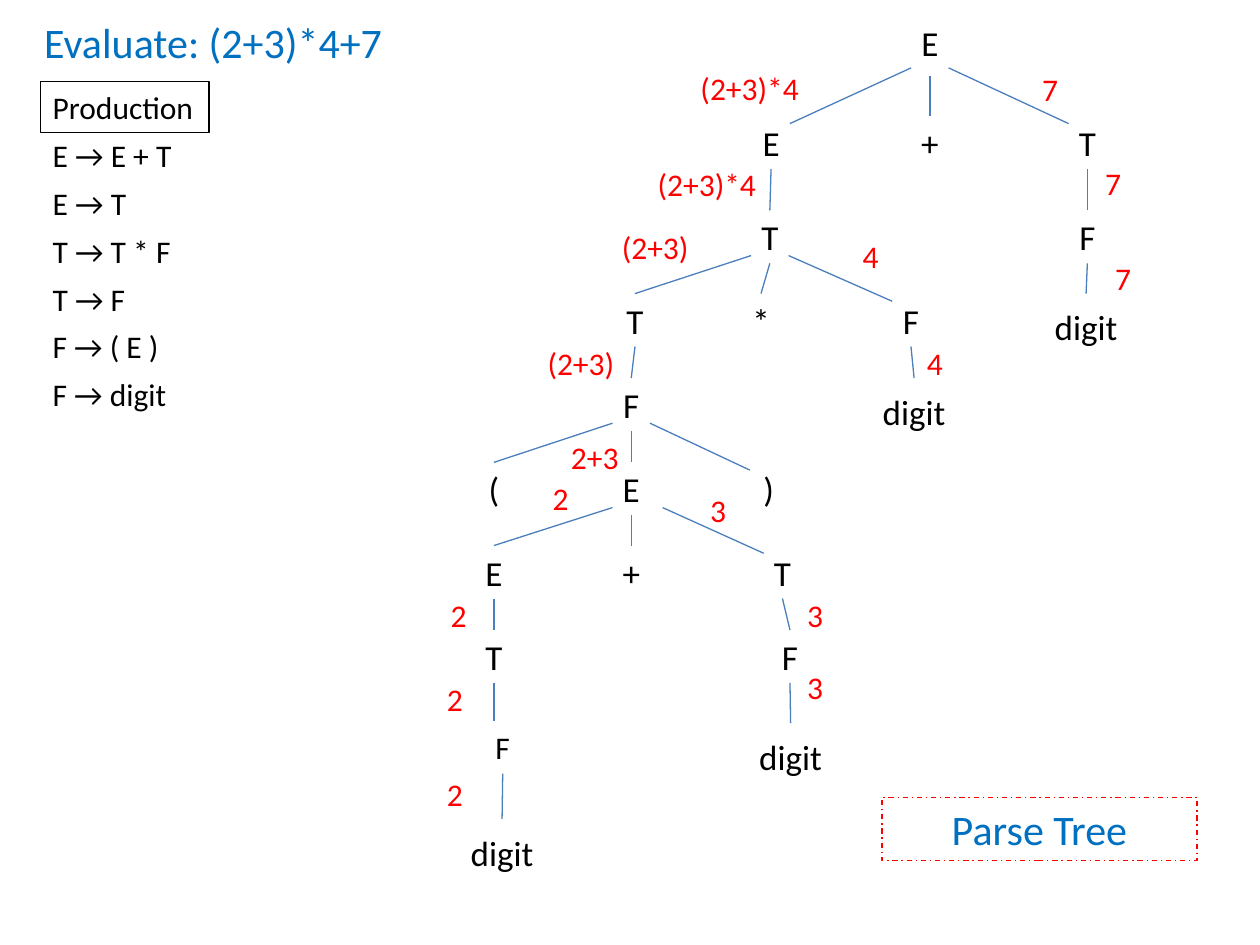
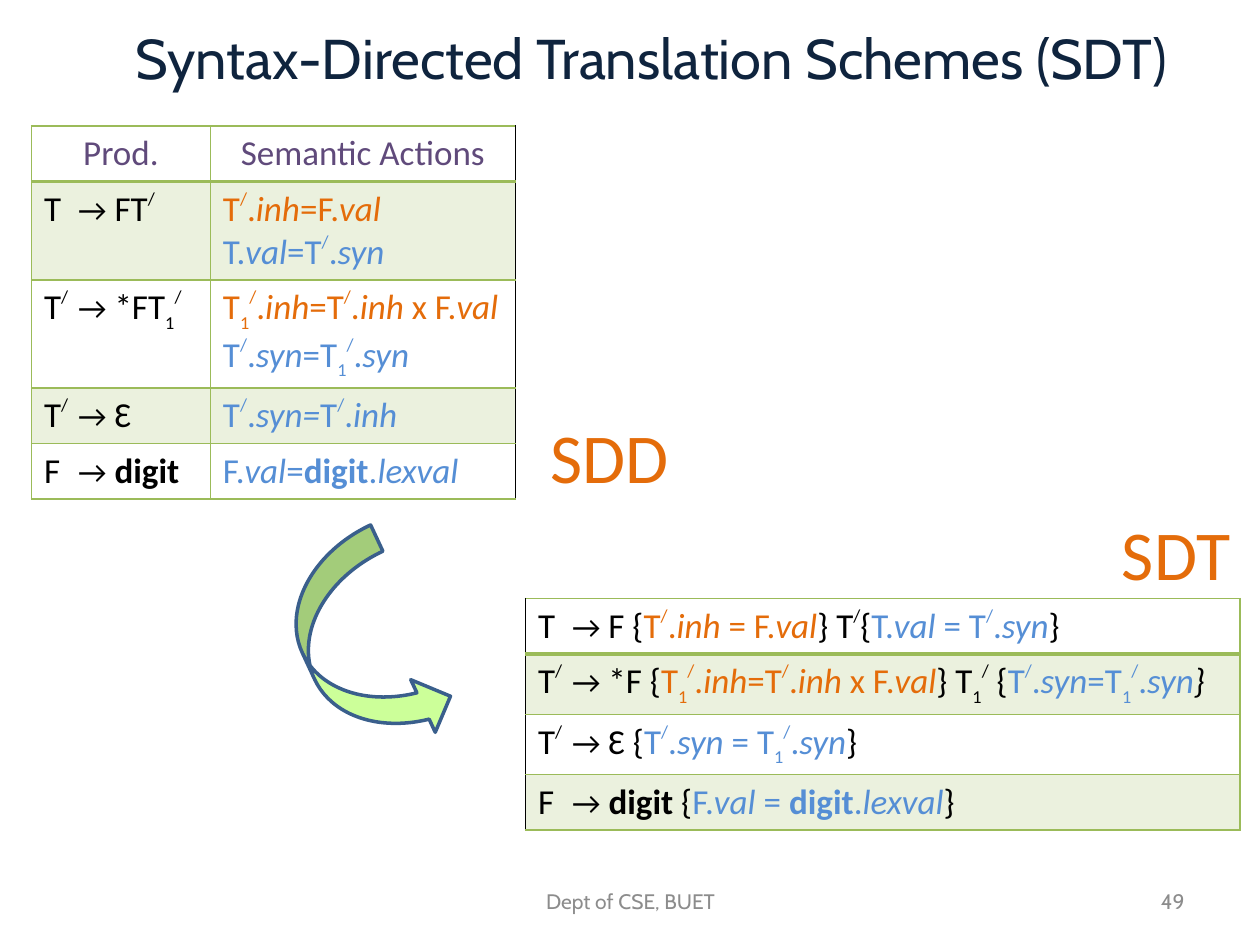
"""Build two slides on parse trees and syntax-directed translation schemes."""
from dataclasses import dataclass
from itertools import groupby
from typing import Iterator, NamedTuple, Optional

from lxml.etree import SubElement
from pptx import Presentation
from pptx.dml.color import RGBColor
from pptx.enum.dml import MSO_LINE
from pptx.enum.shapes import MSO_CONNECTOR, MSO_SHAPE
from pptx.enum.text import MSO_ANCHOR, MSO_AUTO_SIZE, PP_ALIGN
from pptx.oxml.ns import qn
from pptx.util import Inches, Pt


@dataclass(frozen=True)
class Theme:
    body: str = "Calibri"
    heading: str = "Cabin"
    black: str = "000000"
    red: str = "FF0000"
    blue: str = "0070C0"
    navy: str = "0F243E"
    edge: str = "4B7EBC"
    inherited: str = "E46C0A"
    synthesized: str = "558ED5"
    purple: str = "604A7B"
    grid: str = "9BBB59"
    band: str = "EBF1DE"
    arrow: str = "CCFF99"
    arrow_line: str = "3A5F8C"
    footer: str = "8C8C8C"
    footer_size: int = 12
    small: int = 18
    text: int = 20
    caption: int = 24
    title: int = 32
    tag: int = 40


T = Theme()


class Box(NamedTuple):
    x: float
    y: float
    w: float
    h: float

    def emu(self) -> list[int]:
        return [Inches(v) for v in self]


class Node(NamedTuple):
    text: str
    x: float
    y: float
    w: float = 0.42
    size: int = T.text

    def box(self) -> Box:
        return Box(self.x, self.y, self.w, 0.53 if self.text == "digit" else 0.42)

    def site(self, name: str) -> tuple[float, float]:
        """Return a point on the ellipse: t or b, with l or r for a diagonal."""
        x, y, w, h = self.box()
        reach = 0.354 if len(name) == 2 else 0.5
        side = {"l": -1, "r": 1}.get(name[1:], 0)
        return x + w / 2 + side * reach * w, y + h / 2 + (-reach if name[0] == "t" else reach) * h


class Edge(NamedTuple):
    parent: str
    child: str
    start: str = "b"
    end: str = "t"
    start_dx: float = 0
    start_dy: float = 0
    end_dx: float = 0


class Label(NamedTuple):
    text: str
    x: float
    y: float
    w: float = 1.28


class Style(NamedTuple):
    color: str = T.black
    size: int = T.text
    bold: bool = False
    italic: bool = False
    baseline: int = 0
    font: str = T.body


NODES = {
    "root": Node("E", 7.17, 0.13),
    "sum": Node("E", 5.91, 0.92),
    "plus": Node("+", 7.17, 0.92),
    "addend": Node("T", 8.42, 0.92),
    "addend F": Node("F", 8.42, 1.67),
    "seven": Node("digit", 8.07, 2.33, 1.1),
    "product": Node("T", 5.9, 1.67),
    "left T": Node("T", 4.83, 2.33),
    "times": Node("*", 5.83, 2.33),
    "right F": Node("F", 7.02, 2.33),
    "four": Node("digit", 6.59, 3, 1.33),
    "group": Node("F", 4.8, 3),
    "open": Node("(", 3.71, 3.67),
    "inner": Node("E", 4.8, 3.67),
    "close": Node(")", 5.89, 3.67),
    "inner E": Node("E", 3.71, 4.33),
    "inner plus": Node("+", 4.8, 4.33),
    "inner T": Node("T", 6, 4.33),
    "two T": Node("T", 3.71, 5),
    "two F": Node("F", 3.78, 5.72, size=T.small),
    "two": Node("digit", 3.42, 6.5, 1.13),
    "three F": Node("F", 6.06, 5),
    "three": Node("digit", 5.61, 5.74, 1.33),
}
EDGES = [
    Edge("root", "sum", "bl", "tr", start_dy=0.05),
    Edge("root", "plus", start_dy=0.05),
    Edge("root", "addend", "br", "tl", start_dy=0.05),
    Edge("addend", "addend F"),
    Edge("addend F", "seven"),
    Edge("sum", "product"),
    Edge("product", "left T", "bl"),
    Edge("product", "times"),
    Edge("product", "right F", "br", "tl"),
    Edge("right F", "four"),
    Edge("left T", "group"),
    Edge("group", "open", "bl"),
    Edge("group", "inner"),
    Edge("group", "close", "br", "tl"),
    Edge("inner", "inner E", "bl"),
    Edge("inner", "inner plus"),
    Edge("inner", "inner T", "br", "tl", start_dx=0.1),
    Edge("inner E", "two T"),
    Edge("two T", "two F", end_dx=-0.07),
    Edge("two F", "two"),
    Edge("inner T", "three F"),
    Edge("three F", "three"),
]
VALUES = [
    Label("(2+3)*4", 5.31, 0.5), Label("7", 7.92, 0.51, 0.83),
    Label("(2+3)*4", 4.97, 1.26), Label("7", 8.42, 1.25, 0.83),
    Label("(2+3)", 4.56, 1.76), Label("4", 6.5, 1.83, 0.82),
    Label("7", 8.5, 2.01, 0.83), Label("(2+3)", 3.97, 2.68),
    Label("4", 7.01, 2.68, 0.82), Label("2+3", 4.08, 3.43),
    Label("2", 3.81, 3.75), Label("3", 5.06, 3.85),
    Label("2", 3, 4.68), Label("3", 5.83, 4.68),
    Label("2", 2.97, 5.35), Label("3", 5.83, 5.25), Label("2", 2.97, 6.1),
]
PRODUCTIONS = ["Production", "E → E + T", "E → T", "T → T * F", "T → F", "F → ( E )", "F → digit"]

SDD_ROWS = [
    ["Prod.", "Semantic Actions"],
    ["T\t→ FT'", "«T'.~inh~=F.~val~»\n‹T.~val~=T'.~syn~›"],
    ["T'\t→ *FT₁'", "«T₁'.~inh~=T'.~inh~ x F.~val~»\n‹T'.~syn~=T₁'.~syn~›"],
    ["T'\t→ Ɛ", "‹T'.~syn=~T'.~inh~›"],
    ["F\t→ `digit`", "‹F.~val~=`digit`.~lexval~›"],
]
SDT_ROWS = [
    ["T\t→ F {«T'.~inh~ = F.~val~»} T'{‹T.~val~ = T'.~syn~›}"],
    ["T'\t→ *F {«T₁'.~inh~=T'.~inh~ x F.~val~»} T₁' {‹T'.~syn~=T₁'.~syn›}~"],
    ["T'\t→ Ɛ {‹T'.~syn~ = T₁'.~syn~›}"],
    ["F\t→ `digit` {‹F.~val~ = `digit`.~lexval~›}"],
]


def styled_chars(markup: str) -> Iterator[tuple[Style, str]]:
    """Read ~italic~, `bold`, «inherited», ‹synthesized›, ' and ₁ as styles."""
    colors = {"«": T.inherited, "‹": T.synthesized, "»": T.black, "›": T.black}
    style = Style()
    for ch in markup:
        if ch in colors:
            style = style._replace(color=colors[ch])
        elif ch == "~":
            style = style._replace(italic=not style.italic)
        elif ch == "`":
            style = style._replace(bold=not style.bold)
        elif ch == "'":
            yield style._replace(size=T.small, baseline=50000), "/"
        elif ch == "₁":
            yield style._replace(size=T.small, baseline=-30000), "1"
        else:
            yield (style._replace(size=T.small) if ch == "→" else style), ch


def add_run(p, text: str, style: Style):
    """Add one run in the given style."""
    r = p.add_run()
    r.text = text
    r.font.name, r.font.size = style.font, Pt(style.size)
    r.font.bold, r.font.italic = style.bold, style.italic
    r.font.color.rgb = RGBColor.from_string(style.color)
    if style.baseline:
        r._r.get_or_add_rPr().set("baseline", str(style.baseline))
    return r


def fill_text(sp, text: str, style: Style, align=PP_ALIGN.LEFT, anchor=MSO_ANCHOR.TOP):
    """Put one aligned run in a shape."""
    tf = sp.text_frame
    tf.word_wrap, tf.auto_size, tf.vertical_anchor = True, MSO_AUTO_SIZE.NONE, anchor
    p = tf.paragraphs[0]
    p.alignment = align
    return add_run(p, text, style)


def add_label(s, box: Box, text: str, style: Style, align=PP_ALIGN.CENTER, anchor=MSO_ANCHOR.TOP) -> None:
    """Add a text box."""
    fill_text(s.shapes.add_textbox(*box.emu()), text, style, align, anchor)


def set_title(s, box: Box, text: str, style: Style, align, anchor):
    """Move and fill the title placeholder."""
    sp = s.shapes.title
    sp.left, sp.top, sp.width, sp.height = box.emu()
    return fill_text(sp, text, style, align, anchor)


def add_preset(s, kind, box: Box, line: Optional[str] = None, width: float = 0.75):
    """Add an unfilled preset shape with an optional outline."""
    sp = s.shapes.add_shape(kind, *box.emu())
    sp.shadow.inherit = False
    sp.fill.background()
    if line:
        sp.line.color.rgb = RGBColor.from_string(line)
        sp.line.width = Pt(width)
    else:
        sp.line.fill.background()
    return sp


def draw_node(s, node: Node) -> None:
    """Draw a tree node."""
    sp = add_preset(s, MSO_SHAPE.OVAL, node.box())
    tf = sp.text_frame
    tf.margin_left = tf.margin_right = tf.margin_top = tf.margin_bottom = 0
    fill_text(sp, node.text, Style(size=node.size), PP_ALIGN.CENTER, MSO_ANCHOR.MIDDLE)


def draw_edge(s, edge: Edge) -> None:
    """Draw the line from a parent node to its child."""
    x1, y1 = NODES[edge.parent].site(edge.start)
    x2, y2 = NODES[edge.child].site(edge.end)
    ends = (x1 + edge.start_dx, y1 + edge.start_dy, x2 + edge.end_dx, y2)
    cx = s.shapes.add_connector(MSO_CONNECTOR.STRAIGHT, *map(Inches, ends))
    cx.line.color.rgb = RGBColor.from_string(T.edge)
    cx.line.width = Pt(0.75)
    SubElement(cx._element.spPr, qn("a:effectLst"))


def set_border(cell, side: str, color: str, width: float) -> None:
    """Draw one side of a cell."""
    ln = SubElement(cell._tc.get_or_add_tcPr(), qn(f"a:ln{side}"), w=str(Pt(width)))
    SubElement(SubElement(ln, qn("a:solidFill")), qn("a:srgbClr"), val=color)


def add_rules_table(s, box: Box, widths: list[float], rows: list[list[str]],
                    black_side: str, header: bool) -> None:
    """Add a banded table of rules with one black outer side."""
    frame = s.shapes.add_table(len(rows), len(widths), *box.emu())
    table = frame.table
    table.first_row = table.horz_banding = False
    for col, width in zip(table.columns, widths):
        col.width = Inches(width)
    black_col = 0 if black_side == "L" else len(widths) - 1
    for i, row in enumerate(rows):
        table.rows[i].height = Inches(0.41)
        for j, markup in enumerate(row):
            cell = table.cell(i, j)
            for side in "LRTB":
                color = T.black if (side, j) == (black_side, black_col) else T.grid
                set_border(cell, side, color, 2 if (i, side) in ((0, "B"), (1, "T")) else 1)
            if i % 2:
                cell.fill.solid()
                cell.fill.fore_color.rgb = RGBColor.from_string(T.band)
            else:
                cell.fill.background()
            for k, line in enumerate(markup.split("\n")):
                p = cell.text_frame.paragraphs[0] if k == 0 else cell.text_frame.add_paragraph()
                if header and i == 0:
                    p.alignment = PP_ALIGN.CENTER
                    add_run(p, line, Style(T.purple))
                    continue
                if "\t" in line:
                    tabs = SubElement(p._p.get_or_add_pPr(), qn("a:tabLst"))
                    SubElement(tabs, qn("a:tab"), pos=str(Inches(0.27)), algn="l")
                for style, chars in groupby(styled_chars(line), key=lambda pair: pair[0]):
                    add_run(p, "".join(ch for _, ch in chars), style)
    frame.height = Inches(box.h)


def build_parse_tree(prs) -> None:
    """Build the annotated parse tree."""
    s = prs.slides.add_slide(prs.slide_layouts[5])
    set_title(s, Box(0.25, 0.08, 3.71, 0.5), "Evaluate: (2+3)*4+7",
              Style(T.blue, T.caption), PP_ALIGN.LEFT, MSO_ANCHOR.TOP)
    for node in NODES.values():
        draw_node(s, node)
    for edge in EDGES:
        draw_edge(s, edge)
    for i, text in enumerate(PRODUCTIONS):
        sp = add_preset(s, MSO_SHAPE.RECTANGLE, Box(0.32, 0.65 + 0.38 * i, 1.34, 0.4),
                        T.black if i == 0 else None)
        fill_text(sp, text, Style(size=T.small))
    for value in VALUES:
        add_label(s, Box(value.x, value.y, value.w, 0.4), value.text, Style(T.red, T.small))
    caption = add_preset(s, MSO_SHAPE.RECTANGLE, Box(7, 6.33, 2.5, 0.5), T.red)
    caption.line.dash_style = MSO_LINE.DASH_DOT
    fill_text(caption, "Parse Tree", Style(T.blue, T.caption), PP_ALIGN.CENTER)


def build_schemes(prs) -> None:
    """Build the step from definition to translation scheme."""
    s = prs.slides.add_slide(prs.slide_layouts[5])
    r = set_title(s, Box(0.67, -0.17, 9, 1.25), "Syntax-Directed Translation Schemes (SDT)",
                  Style(T.navy, T.title, font=T.heading), PP_ALIGN.CENTER, MSO_ANCHOR.MIDDLE)
    effects = r._r.get_or_add_rPr().makeelement(qn("a:effectLst"))
    r._r.get_or_add_rPr().find(qn("a:solidFill")).addnext(effects)
    shadow = SubElement(effects, qn("a:outerShdw"), blurRad="38100", dist="38100", dir="2700000")
    SubElement(SubElement(shadow, qn("a:srgbClr"), val=T.black), qn("a:alpha"), val="43000")
    footer = Style(T.footer, T.footer_size, font=T.heading)
    add_label(s, Box(3.42, 6.95, 3.17, 0.4), "Dept of CSE, BUET", footer, anchor=MSO_ANCHOR.MIDDLE)
    add_label(s, Box(7.17, 6.95, 2.33, 0.4), "49", footer, PP_ALIGN.RIGHT, MSO_ANCHOR.MIDDLE)
    for tag in (Label("SDD", 4, 3.23, 1.67), Label("SDT", 8.5, 4, 1.67)):
        add_label(s, Box(tag.x, tag.y, tag.w, 0.77), tag.text, Style(T.inherited, T.tag))
    arrow = add_preset(s, MSO_SHAPE.CURVED_RIGHT_ARROW, Box(2.43, 4.28, 0.92, 1.73), T.arrow_line, 2)
    arrow.fill.solid()
    arrow.fill.fore_color.rgb = RGBColor.from_string(T.arrow)
    arrow.rotation = 335
    add_rules_table(s, Box(0.25, 1, 3.83, 2.83), [1.42, 2.42], SDD_ROWS, "R", True)
    add_rules_table(s, Box(4.17, 4.75, 5.67, 1.73), [5.67], SDT_ROWS, "L", False)


def main() -> None:
    """Build and save the presentation."""
    prs = Presentation()
    prs.slide_width, prs.slide_height = Inches(10), Inches(7.5)
    build_parse_tree(prs)
    build_schemes(prs)
    prs.save("out.pptx")


if __name__ == "__main__":
    main()
